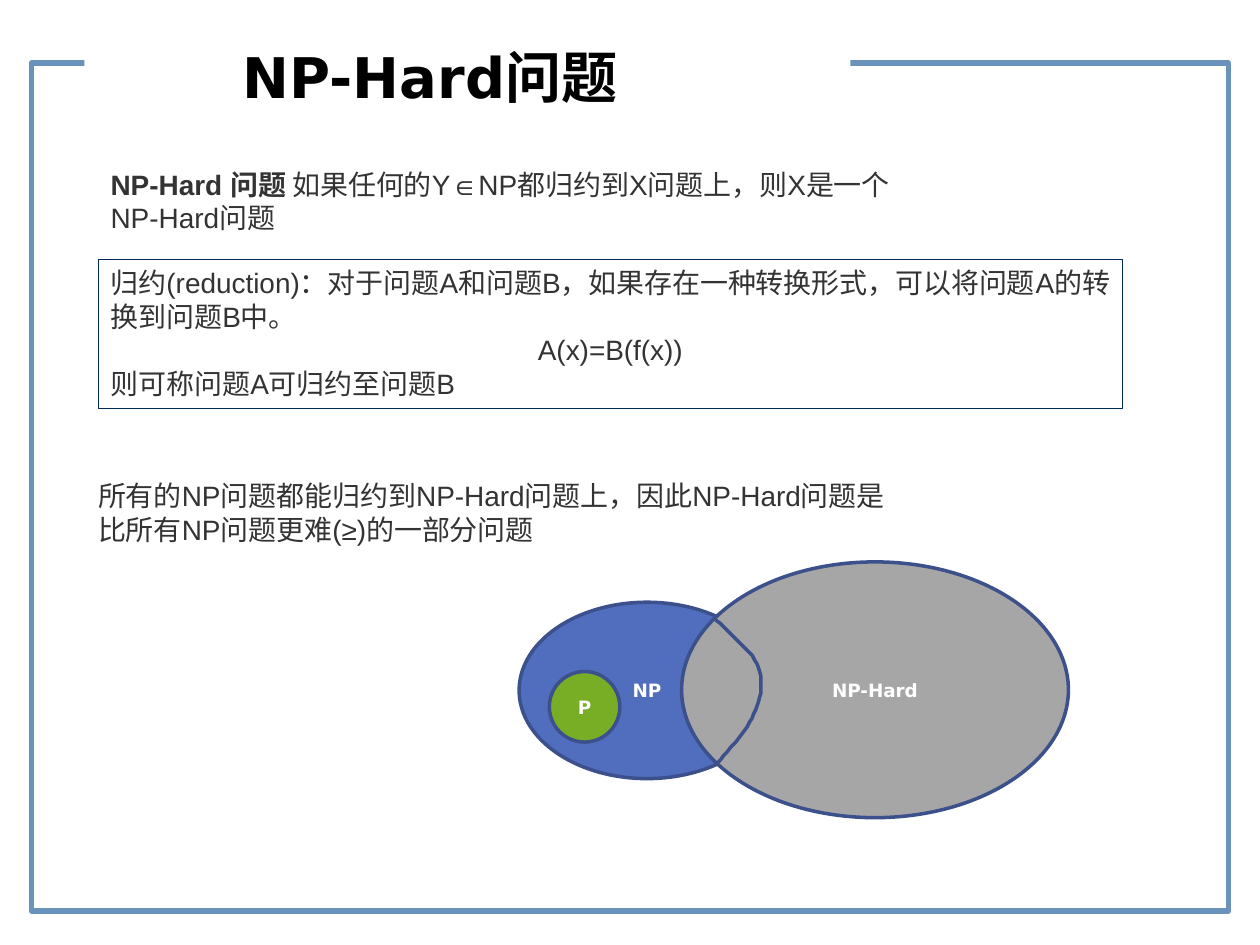
import pptx
import pptx.util
import pptx.dml.color
import pptx.enum.shapes
import pptx.enum.text

PX = 9144
HUES = {
    "frame": "6A93BC", "white": "FFFFFF", "black": "000000", "body": "333333",
    "navy": "002A56", "edge": "3C518C", "blue": "516DBD", "green": "77AE26",
    "gray": "A6A6A6",
}
KIND = pptx.enum.shapes.MSO_SHAPE
ALIGN = pptx.enum.text.PP_ALIGN
ANCHOR = pptx.enum.text.MSO_ANCHOR


def emu(*nums):
    return [round(num * PX) for num in nums]


def hue(name):
    return pptx.dml.color.RGBColor.from_string(HUES[name])


def paint(shape, fill=None, line=None, width=2):
    shape.shadow.inherit = False
    if fill:
        shape.fill.solid()
        shape.fill.fore_color.rgb = hue(fill)
    else:
        shape.fill.background()
    if line:
        shape.line.color.rgb = hue(line)
        shape.line.width = pptx.util.Pt(width)
    else:
        shape.line.fill.background()


def draw(slide, kind, box, **style):
    shape = slide.shapes.add_shape(kind, *emu(*box))
    paint(shape, **style)
    return shape


def write(shape, *paras, size=16, font="Arial", color="body", bold=False,
          align=ALIGN.LEFT, anchor=ANCHOR.TOP):
    frame = shape.text_frame
    frame.word_wrap = True
    frame.vertical_anchor = anchor
    for num, text in enumerate(paras):
        para = frame.paragraphs[0] if num == 0 else frame.add_paragraph()
        para.alignment = align
        run = para.add_run()
        run.text = text
        run.font.size = pptx.util.Pt(size)
        run.font.name = font
        run.font.bold = bold
        run.font.color.rgb = hue(color)
    return frame


def border(slide, box):
    left, top, wide, high = box
    draw(slide, KIND.RECTANGLE, box, line="frame", width=3)
    draw(slide, KIND.RECTANGLE, (left + 42, top - 35, 608, 119), fill="white")


def head(slide, box, text):
    title = slide.shapes.title
    title.left, title.top, title.width, title.height = emu(*box)
    write(title, text, size=32, font="DejaVu Sans", color="black", bold=True,
          align=ALIGN.CENTER, anchor=ANCHOR.MIDDLE)


def note(slide, box, text, lead=""):
    shape = slide.shapes.add_textbox(*emu(*box))
    frame = write(shape, lead + text)
    if lead:
        first = frame.paragraphs[0].runs[0]
        first.text = lead
        first.font.bold = True
        rest = frame.paragraphs[0].add_run()
        rest.text = text
        rest.font.size = first.font.size
        rest.font.name = first.font.name
        rest.font.color.rgb = hue("body")


def rule(slide, box):
    shape = draw(slide, KIND.RECTANGLE, box, line="navy", width=0.75)
    frame = write(
        shape,
        "归约(reduction)：对于问题A和问题B，如果存在一种转换形式，可以将问题A的转换到问题B中。",
        "A(x)=B(f(x))",
        "则可称问题A可归约至问题B")
    frame.paragraphs[1].alignment = ALIGN.CENTER


def bend(ends, steps=12):
    for num in range(1, steps + 1):
        t = num / steps
        parts = ((1 - t) ** 3, 3 * t * (1 - t) ** 2, 3 * t * t * (1 - t), t ** 3)
        yield tuple(sum(p * end[axis] for p, end in zip(parts, ends))
                    for axis in (0, 1))


def venn(slide, box):
    left, top = box[:2]
    for text, x, y, wide, high, fill in (
            ("NP", 0, 32, 203, 140, "blue"),
            ("P", 24, 87, 56, 56, "green"),
            ("NP-Hard", 129, 0, 307, 203, "gray")):
        oval = draw(slide, KIND.OVAL, (left + x, top + y, wide, high),
                    fill=fill, line="edge")
        write(oval, text, size=10.5, font="DejaVu Sans", color="white",
              bold=True, align=ALIGN.CENTER, anchor=ANCHOR.MIDDLE)
        frame = oval.text_frame
        frame.margin_left = frame.margin_right = 0

    knots = [(156, 46), (170, 59), (185, 71), (190, 84), (195, 97),
             (191, 111), (185, 124), (179, 137), (156, 161), (156, 161)]
    knots = [(left + x, top + y) for x, y in knots]
    pen = slide.shapes.build_freeform(*knots[0], scale=PX)
    for start in range(0, len(knots) - 1, 3):
        pen.add_line_segments(bend(knots[start:start + 4]), close=False)
    paint(pen.convert_to_shape(), line="edge")


def main():
    deck = pptx.Presentation()
    deck.slide_width, deck.slide_height = emu(1000, 750)
    slide = deck.slides.add_slide(deck.slide_layouts[5])
    border(slide, (25, 50, 950, 673))
    head(slide, (75, 29, 533, 62), "NP-Hard问题")
    tree = slide.shapes.title.element.getparent()
    tree.append(slide.shapes.title.element)
    note(slide, (78, 128, 643, 64),
         "如果任何的Y∈NP都归约到X问题上，则X是一个NP-Hard问题",
         lead="NP-Hard 问题 ")
    rule(slide, (78, 206, 813, 118))
    note(slide, (68, 375, 661, 64),
         "所有的NP问题都能归约到NP-Hard问题上，因此NP-Hard问题是比所有NP问题更难(≥)的一部分问题")
    venn(slide, (412, 446, 436, 203))
    deck.save("out.pptx")


if __name__ == "__main__":
    main()
